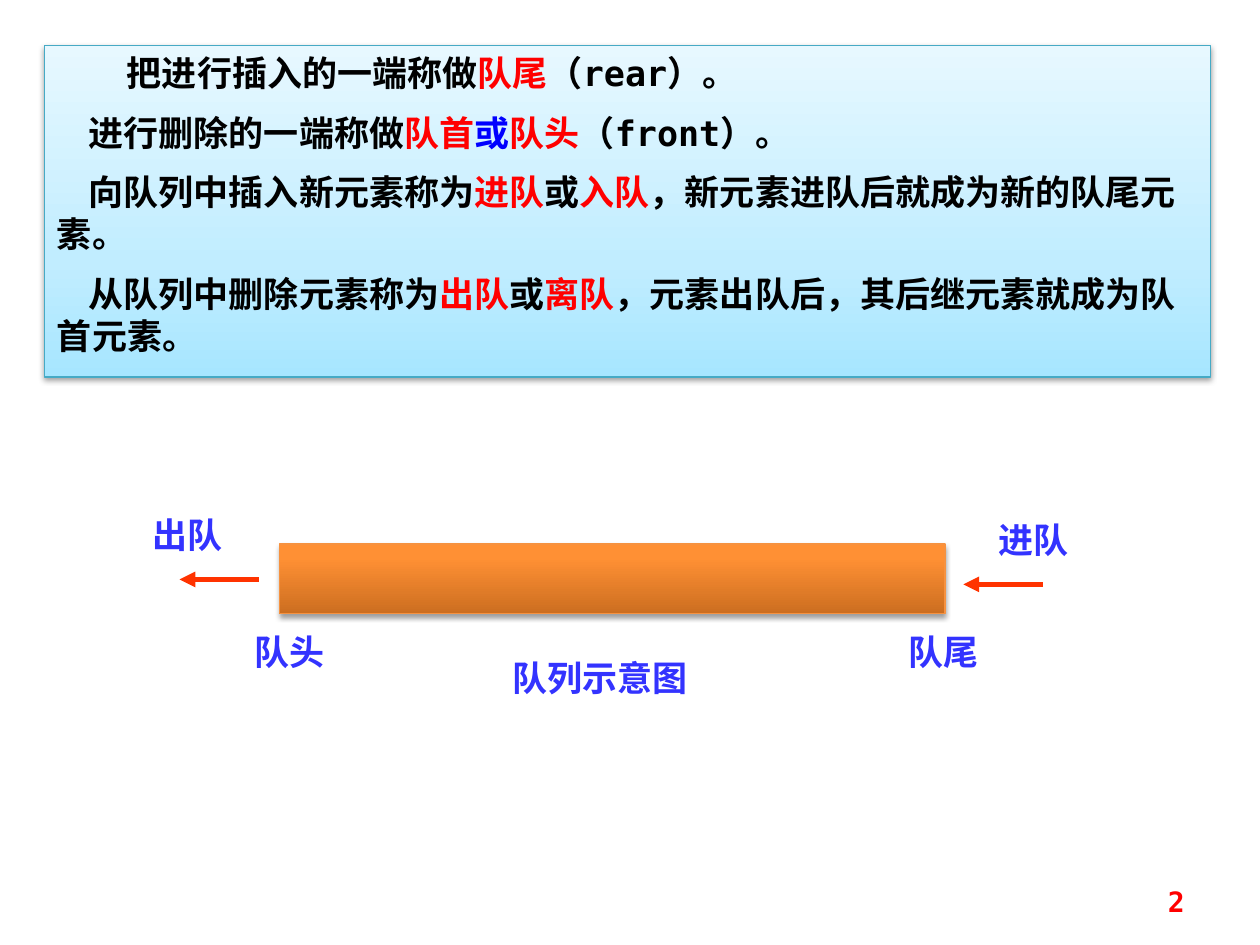
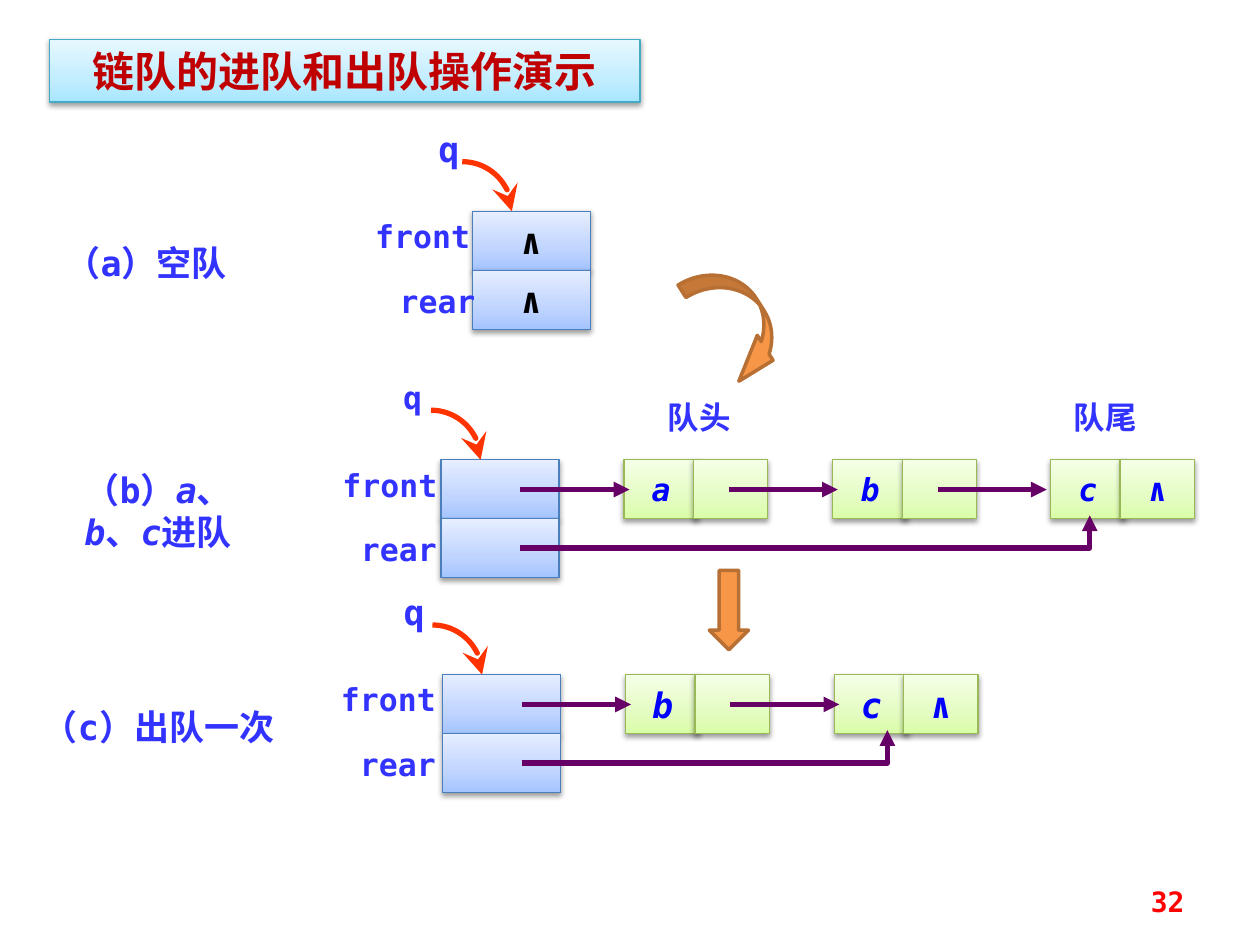
from lxml.etree import SubElement
from pptx import Presentation
from pptx.dml.color import RGBColor
from pptx.enum.shapes import MSO_CONNECTOR, MSO_SHAPE
from pptx.enum.text import MSO_ANCHOR, MSO_AUTO_SIZE, PP_ALIGN
from pptx.oxml.ns import qn
from pptx.util import Cm, Pt

COLORS = {
    "black": "000000", "red": "FF0000", "blue": "0000FF", "label": "3333FF",
    "title": "C00000", "pointer": "FF3300", "link": "660066",
    "step": "F79646", "step_line": "B76F34",
}
# Gradient stops run from the bottom edge to the top edge
STYLES = {
    "panel": {"stops": [(0, "A7E6FF"), (35, "C1EDFF"), (100, "E7F8FF")], "line": "46AAC5"},
    "header": {"stops": [(0, "A4C4FF"), (35, "BFD4FF"), (100, "E6EEFF")], "line": "4B7EBC"},
    "node": {"stops": [(0, "DAFDA7"), (35, "E4FCC2"), (100, "F5FFE7")], "line": "98B955"},
    "queue": {"stops": [(0, "CC6E20"), (80, "FF9034"), (100, "FF9136")], "line": "F69240"},
}
MONO, SERIF, SANS = "DejaVu Sans Mono", "Times New Roman", "Noto Sans CJK SC"
HEADER_WIDTH, CELL_HEIGHT = 2.38, 1.19
NODE_CELL_WIDTH, NODE_CELL_STEP = 1.5, 1.4
LINK_START, LINK_LENGTH, NODE_LINK_START = 1.6, 2.2, 2.11


def rgb(name):
    return RGBColor.from_string(COLORS[name])


def format_span(span, size, color, font=MONO, italic=False):
    """Format a run; Chinese characters share one sans face throughout."""
    span.font.size, span.font.bold, span.font.italic = Pt(size), True, italic
    span.font.name = font
    span.font.color.rgb = rgb(color)
    SubElement(span.font._element, qn("a:ea"), typeface=MONO)


def write(para, spans, size, align=PP_ALIGN.CENTER, font=MONO):
    """Fill a paragraph from (text, colour, italic) spans."""
    para.alignment = align
    for text, color, italic in spans:
        span = para.add_run()
        span.text = text
        format_span(span, size, color, font, italic)


def style_box(box, style):
    """Apply the gradient, thin outline and soft shadow of a style."""
    box.fill.gradient()
    gradient = box.element.spPr.find(qn("a:gradFill"))
    for child in list(gradient):
        gradient.remove(child)
    stops = SubElement(gradient, qn("a:gsLst"))
    for position, color in STYLES[style]["stops"]:
        stop = SubElement(stops, qn("a:gs"), pos=str(position * 1000))
        SubElement(stop, qn("a:srgbClr"), val=color)
    SubElement(gradient, qn("a:lin"), ang="16200000", scaled="0")
    box.line.color.rgb = RGBColor.from_string(STYLES[style]["line"])
    box.line.width = Pt(0.75)
    box.shadow.inherit = False
    effects = box.element.spPr.find(qn("a:effectLst"))
    shadow = SubElement(effects, qn("a:outerShdw"), blurRad=str(Pt(3.1)),
                        dist=str(Pt(1.6)), dir="5400000", rotWithShape="0")
    tint = SubElement(shadow, qn("a:srgbClr"), val=COLORS["black"])
    SubElement(tint, qn("a:alpha"), val="38000")


def add_box(page, style, left, top, width, height):
    box = page.shapes.add_shape(MSO_SHAPE.RECTANGLE, Cm(left), Cm(top), Cm(width), Cm(height))
    style_box(box, style)
    return box


def add_cell(page, style, left, top, width, text="", color="blue", size=18):
    cell = add_box(page, style, left, top, width, CELL_HEIGHT)
    if text:
        frame = cell.text_frame
        frame.word_wrap = False
        frame.vertical_anchor = MSO_ANCHOR.MIDDLE
        write(frame.paragraphs[0], [(text, color, text.isalpha())], size)


def add_label(page, spans, center, middle, size=20, font=MONO, width=6.0, height=1.1):
    """Centre a text box on a point; plain text takes the label colour."""
    if isinstance(spans, str):
        spans = [(spans, "label", False)]
    box = page.shapes.add_textbox(Cm(center - width / 2), Cm(middle - height / 2),
                                  Cm(width), Cm(height))
    frame = box.text_frame
    frame.word_wrap = True
    frame.vertical_anchor = MSO_ANCHOR.MIDDLE
    write(frame.paragraphs[0], spans, size, font=font)


def style_line(line_shape, color, head="triangle", head_size="med"):
    line_shape.line.color.rgb = rgb(color)
    line_shape.line.width = Pt(3)
    SubElement(line_shape.element.spPr.find(qn("a:ln")), qn("a:tailEnd"),
               type=head, w=head_size, len=head_size)


def add_arrow(page, left, top, length, color):
    """Draw a horizontal arrow; a negative length points left."""
    arrow = page.shapes.add_connector(MSO_CONNECTOR.STRAIGHT, Cm(left), Cm(top),
                                      Cm(left + length), Cm(top))
    style_line(arrow, color)
    SubElement(arrow.element.spPr, qn("a:effectLst"))


def add_page_number(page, number):
    box = page.shapes.add_textbox(Cm(18.21), Cm(17.65), Cm(5.92), Cm(1.02))
    box.text_frame.word_wrap = True
    box.text_frame.vertical_anchor = MSO_ANCHOR.MIDDLE
    write(box.text_frame.paragraphs[0], [(number, "red", False)], 16, PP_ALIGN.RIGHT)


def add_definitions(page, left, top, width, height):
    """Panel of terms, each paragraph with its first-line indent."""
    definitions = [
        (1.41, [("把进行插入的一端称做", "black"), ("队尾", "red"), ("（rear）。", "black")]),
        (0.64, [("进行删除的一端称做", "black"), ("队首", "red"), ("或", "blue"),
                ("队头", "red"), ("（front）。", "black")]),
        (0.64, [("向队列中插入新元素称为", "black"), ("进队", "red"), ("或", "black"),
                ("入队", "red"), ("，新元素进队后就成为新的队尾元素。", "black")]),
        (0.64, [("从队列中删除元素称为", "black"), ("出队", "red"), ("或", "black"),
                ("离队", "red"), ("，元素出队后，其后继元素就成为队首元素。", "black")]),
    ]
    frame = add_box(page, "panel", left, top, width, height).text_frame
    frame.word_wrap = True
    frame.vertical_anchor = MSO_ANCHOR.TOP
    for index, (indent, spans) in enumerate(definitions):
        para = frame.add_paragraph() if index else frame.paragraphs[0]
        if index:
            para.space_before = Pt(10)
        write(para, [(text, color, False) for text, color in spans], 20, PP_ALIGN.LEFT)
        para._p.get_or_add_pPr().set("indent", str(Cm(indent)))


def add_queue_sketch(page, left, top, width, height):
    """Queue bar with its two ends and the arrows in and out."""
    add_box(page, "queue", left, top, width, height)
    for text, center, middle in [("队尾", 13.4, 2.16), ("队头", 0.2, 2.16),
                                 ("队列示意图", 6.46, 2.69)]:
        add_label(page, text, left + center, top + middle, font=SERIF)
    for text, start, center, middle in [("出队", -0.41, -1.85, 0.71),
                                        ("进队", 15.39, 15.2, 0.81)]:
        add_arrow(page, left + start, top + middle, -1.6, "pointer")
        add_label(page, text, left + center, top + middle - 0.91, font=SANS, width=2.4)


def add_linked_queue(page, left, top, names, centers, nodes=(), rear_x=None,
                     marks="", q_size=20, node_size=18):
    """Header cells with q, front and rear, then the chain of nodes.

    centers are the middles of the three labels, from the header's left edge.
    """
    # Header cells and node cells
    for row in range(2):
        add_cell(page, "header", left, top + row * CELL_HEIGHT, HEADER_WIDTH, marks, "black", 20)
    for index, (offset, value) in enumerate(nodes):
        end_mark = "∧" if index == len(nodes) - 1 else ""
        for step, text in enumerate((value, end_mark)):
            add_cell(page, "node", left + offset + step * NODE_CELL_STEP, top,
                     NODE_CELL_WIDTH, text, size=node_size)
    # Links between header and nodes
    starts = [LINK_START] + [offset + NODE_LINK_START for offset, _ in nodes]
    for start in starts[:len(nodes)]:
        add_arrow(page, left + start, top + 0.6, LINK_LENGTH, "link")
    if rear_x:
        bend = top + 1.78
        outline = page.shapes.build_freeform(Cm(left + LINK_START), Cm(bend))
        outline.add_line_segments([(Cm(left + rear_x), Cm(bend)),
                                   (Cm(left + rear_x), Cm(top + 1.12))], close=False)
        rear_link = outline.convert_to_shape()
        rear_link.fill.background()
        rear_link.shadow.inherit = False
        style_line(rear_link, "link")
    # Curved pointer from q and the labels
    curve = page.shapes.add_shape(MSO_SHAPE.ARC, Cm(left - 1.2), Cm(top - 1), Cm(2), Cm(2))
    curve.fill.background()
    curve.shadow.inherit = False
    style_line(curve, "pointer", "stealth", "lg")
    for text, center, middle, size in zip(names, centers, (-1.27, 0.5, 1.8), (q_size, 18, 18)):
        add_label(page, text, left + center, top + middle, size, width=2.75)


def add_step_arrow(page, shape_type, left, top, width, height, rotation=0, adjustments=()):
    arrow = page.shapes.add_shape(shape_type, Cm(left), Cm(top), Cm(width), Cm(height))
    arrow.rotation = rotation
    for index, value in enumerate(adjustments):
        arrow.adjustments[index] = value
    arrow.fill.solid()
    arrow.fill.fore_color.rgb = rgb("step")
    arrow.line.color.rgb = rgb("step_line")
    arrow.line.width = Pt(2)
    arrow.shadow.inherit = False


def add_title(page, text, left, top, width, height):
    title = page.shapes.title
    title.left, title.top, title.width, title.height = Cm(left), Cm(top), Cm(width), Cm(height)
    style_box(title, "panel")
    frame = title.text_frame
    frame.text = text
    frame.auto_size = MSO_AUTO_SIZE.NONE
    frame.vertical_anchor = MSO_ANCHOR.MIDDLE
    frame.paragraphs[0].alignment = PP_ALIGN.CENTER
    format_span(frame.paragraphs[0].runs[0], 24, "title")


def build_definition_page(deck):
    page = deck.slides.add_slide(deck.slide_layouts[6])
    add_definitions(page, 0.9, 0.92, 23.5, 6.68)
    add_queue_sketch(page, 5.63, 10.97, 13.42, 1.4)
    add_page_number(page, "2")


def build_demo_page(deck):
    page = deck.slides.add_slide(deck.slide_layouts[5])
    add_title(page, "链队的进队和出队操作演示", 1, 0.79, 11.9, 1.27)
    names = ("q", "front", "rear")

    # (a) empty queue
    add_linked_queue(page, 9.52, 4.26, names, (-0.47, -1, -0.7), marks="∧")
    add_label(page, "（a）空队", 2.95, 5.3)

    # (b) three elements entered
    add_linked_queue(page, 8.89, 9.27, names, (-0.57, -1.03, -0.85),
                     [(3.69, "a"), (7.9, "b"), (12.29, "c")], rear_x=13.08, q_size=18)
    entered = [("（b）", False), ("a", True), ("、", False), ("b", True),
               ("、", False), ("c", True), ("进队", False)]
    add_label(page, [(text, "label", italic) for text, italic in entered],
              3.19, 10.3, width=4.4, height=1.96)
    for text, center in [("队头", 14.1), ("队尾", 22.28)]:
        add_label(page, text, center, 8.41, 18)

    # (c) one element removed
    add_linked_queue(page, 8.92, 13.6, names, (-0.57, -1.09, -0.9),
                     [(3.69, "b"), (7.9, "c")], rear_x=8.97, node_size=20)
    add_label(page, "（c）出队一次", 3.2, 14.64)

    # Arrows from one state to the next
    add_step_arrow(page, MSO_SHAPE.CURVED_LEFT_ARROW, 14.27, 5.23, 1.19, 2.59,
                   327.7, (0.25, 0.5, 0.68))
    add_step_arrow(page, MSO_SHAPE.DOWN_ARROW, 14.3, 11.5, 0.79, 1.6)
    add_page_number(page, "32")


def main():
    deck = Presentation()
    deck.slide_width, deck.slide_height = Cm(25.4), Cm(19.05)
    build_definition_page(deck)
    build_demo_page(deck)
    deck.save("out.pptx")


if __name__ == "__main__":
    main()
